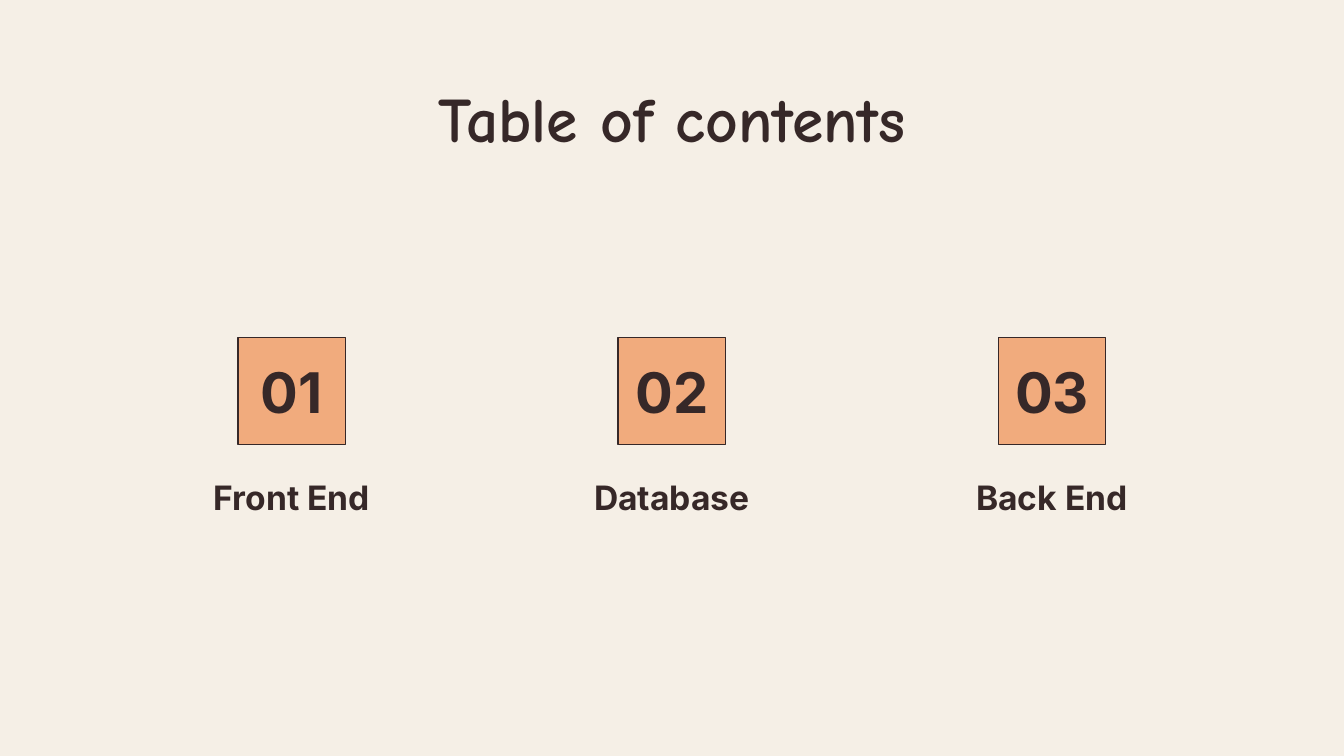
from pptx import Presentation
from pptx.dml.color import RGBColor
from pptx.enum.shapes import MSO_SHAPE as Shape
from pptx.enum.text import MSO_ANCHOR as Anchor, MSO_AUTO_SIZE as AutoSize, PP_ALIGN as Align
from pptx.util import Pt

HEADING = "Table of contents"
SECTIONS = [("01", "Front End"), ("02", "Database"), ("03", "Back End")]

CREAM = RGBColor(0xF5, 0xEF, 0xE6)
ORANGE = RGBColor(0xF1, 0xAB, 0x7D)
BROWN = RGBColor(0x36, 0x28, 0x28)

SLIDE_W, SLIDE_H = 720, 405
PITCH = 203.6
BADGE_SIZE, BADGE_TOP = 57.6, 180.7
LABEL_W, LABEL_H, LABEL_TOP = 199.4, 36, 248.4
HEADING_W, HEADING_H, HEADING_TOP = 607, 51, 35.3


def write(holder, text, size, font="Inter", anchor=Anchor.TOP):
    frame = holder.text_frame
    frame.word_wrap = True
    frame.auto_size = AutoSize.NONE
    frame.vertical_anchor = anchor
    frame.margin_left = frame.margin_right = Pt(7.2)
    frame.margin_top = frame.margin_bottom = Pt(7.2)
    line = frame.paragraphs[0]
    line.alignment = Align.CENTER
    run = line.add_run()
    run.text = text
    run.font.name = font
    run.font.size = Pt(size)
    run.font.bold = True
    run.font.color.rgb = BROWN


def centred(center, top, width, height):
    return Pt(center - width / 2), Pt(top), Pt(width), Pt(height)


deck = Presentation()
deck.slide_width, deck.slide_height = Pt(SLIDE_W), Pt(SLIDE_H)
slide = deck.slides.add_slide(deck.slide_layouts[5])
slide.background.fill.solid()
slide.background.fill.fore_color.rgb = CREAM

heading = slide.shapes.title
heading.left, heading.top, heading.width, heading.height = centred(
    SLIDE_W / 2, HEADING_TOP, HEADING_W, HEADING_H)
write(heading, HEADING, 34, font="Comic Neue")

for index, (number, name) in enumerate(SECTIONS):
    center = SLIDE_W / 2 + (index - (len(SECTIONS) - 1) / 2) * PITCH
    badge = slide.shapes.add_shape(
        Shape.RECTANGLE, *centred(center, BADGE_TOP, BADGE_SIZE, BADGE_SIZE))
    badge.shadow.inherit = False
    badge.fill.solid()
    badge.fill.fore_color.rgb = ORANGE
    badge.line.color.rgb = BROWN
    badge.line.width = Pt(0.75)
    write(badge, number, 30, anchor=Anchor.MIDDLE)

    label = slide.shapes.add_textbox(*centred(center, LABEL_TOP, LABEL_W, LABEL_H))
    write(label, name, 18)

deck.save("out.pptx")
